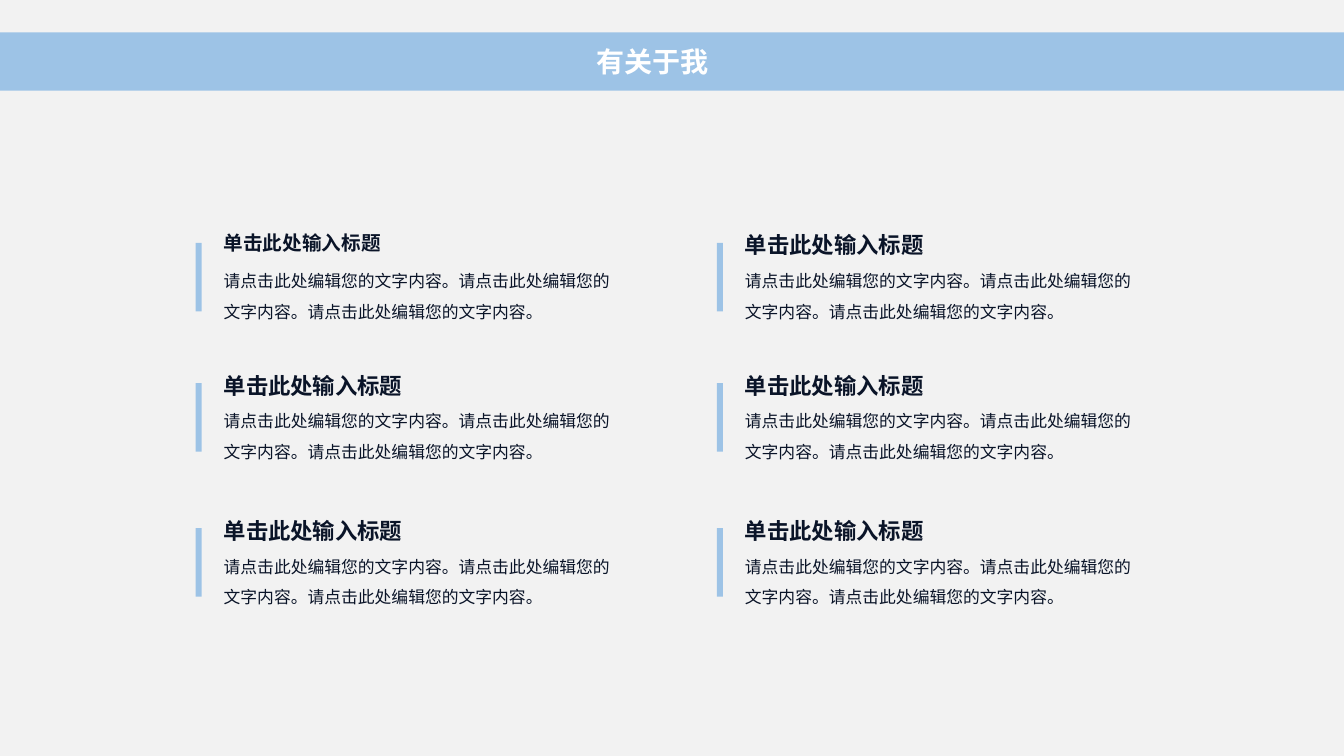
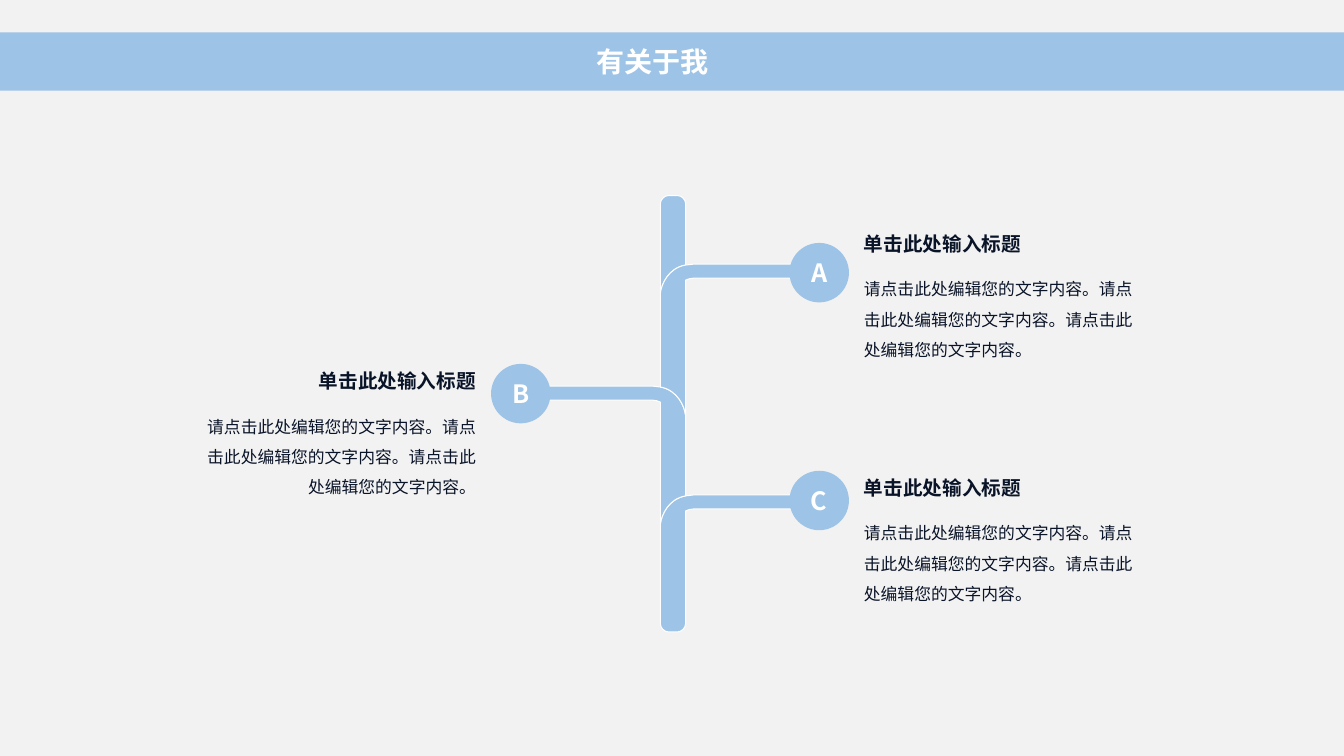
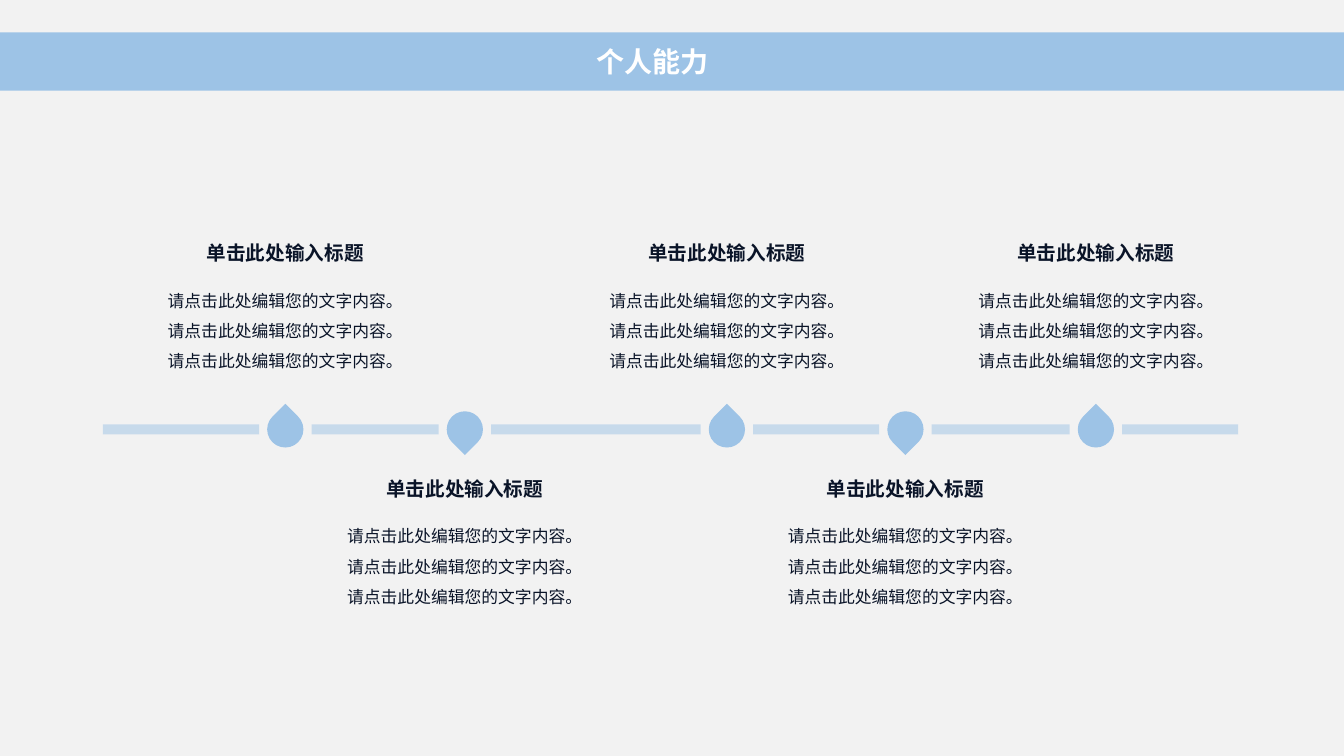
from itertools import pairwise

from lxml import etree
from pptx import Presentation
from pptx import util as u
from pptx.dml.color import RGBColor
from pptx.enum import shapes, text
from pptx.oxml.ns import qn

FONT = "Noto Sans CJK SC"
PAPER, BLUE, INK, WHITE = "F2F2F2", "9DC3E6", "0A1428", "FFFFFF"
WIDTH, HEIGHT = 13.33, 7.5
LEFT, CENTER, RIGHT = text.PP_ALIGN.LEFT, text.PP_ALIGN.CENTER, text.PP_ALIGN.RIGHT

HEADING = "单击此处输入标题"
SENTENCE = "请点击此处编辑您的文字内容。"
BODY = SENTENCE * 3

# Slide 1: column lefts, then bar top, heading top and heading sizes of each row
ABOUT_COLUMNS = (1.94, 7.11)
ABOUT_ROWS = (
    (2.41, 2.24, (14, 16)),
    (3.8, 3.64, (16, 16)),
    (5.24, 5.08, (16, 16)),
)

# Slide 2: letter, side (1 right, -1 left), tops of arm, circle and heading
BRANCHES = (
    ("A", 1, 2.62, 2.41, 2.25),
    ("B", -1, 3.83, 3.61, 3.61),
    ("C", 1, 4.91, 4.67, 4.67),
)
TRUNK_X, TRUNK_TOP, TRUNK_BOTTOM, TRUNK_HALF = 6.675, 1.94, 6.27, 0.125
CIRCLE = 0.59
CIRCLE_LEFT = {1: 7.83, -1: 4.87}
TEXT_EDGE = {1: 8.47, -1: 4.82}

# Slide 3: marker centres along the line, pointing up and down in turn
MARKERS = (2.83, 4.61, 7.21, 8.98, 10.87)
LINE_START, LINE_END, LINE_TOP, LINE_THICK = 1.02, 12.28, 4.21, 0.1
MARKER_SIZE, MARKER_TOP, MARKER_GAP = 0.36, 4.08, 0.26


def color(value):
    return RGBColor.from_string(value)


def paint(shape, outline=None):
    shape.shadow.inherit = False
    shape.fill.solid()
    shape.fill.fore_color.rgb = color(BLUE)
    if outline:
        shape.line.color.rgb = color(outline)
        shape.line.width = u.Pt(0.75)
    else:
        shape.line.fill.background()
    return shape


def add_solid(slide, kind, left, top, width, height):
    return paint(slide.shapes.add_shape(kind, *map(u.Inches, (left, top, width, height))))


def write(frame, words, size, ink=INK, bold=False, align=LEFT, spacing=None):
    paragraph = frame.paragraphs[0]
    paragraph.alignment = align
    if spacing:
        paragraph.line_spacing = spacing
    run = paragraph.add_run()
    run.text = words
    run.font.size = u.Pt(size)
    run.font.bold = bold
    run.font.name = FONT
    run.font.color.rgb = color(ink)
    etree.SubElement(run.font._element, qn("a:ea"), typeface=FONT)


def add_text(slide, words, left, top, width, height, size, **style):
    box = slide.shapes.add_textbox(*map(u.Inches, (left, top, width, height)))
    box.text_frame.word_wrap = True
    box.text_frame.auto_size = text.MSO_AUTO_SIZE.SHAPE_TO_FIT_TEXT
    write(box.text_frame, words, size, **style)


def add_heading(slide, left, top, width, size=14, align=LEFT):
    height = 0.34 if size == 14 else 0.37
    add_text(slide, HEADING, left, top, width, height, size, bold=True, align=align)


def add_body(slide, left, top, width, height=1.01, align=LEFT):
    add_text(slide, BODY, left, top, width, height, 12, align=align, spacing=1.5)


def new_slide(prs, title):
    slide = prs.slides.add_slide(prs.slide_layouts[6])
    add_solid(slide, shapes.MSO_SHAPE.RECTANGLE, -0.03, 0.32, 13.4, 0.58)
    add_text(slide, title, 5.82, 0.39, 1.69, 0.44, 20, ink=WHITE, bold=True,
             align=text.PP_ALIGN.JUSTIFY)
    return slide


def add_outline(slide, steps, side=1):
    """Draw steps, each one point (a line) or three (a cubic curve).

    x runs from the trunk's axis towards the given side.
    """
    points = [(u.Inches(TRUNK_X + side * x), u.Inches(y)) for step in steps for x, y in step]
    builder = slide.shapes.build_freeform(*points[0])
    builder.add_line_segments(points[1:], close=True)
    outline = builder.convert_to_shape()
    lines = iter(list(outline._element.iter(qn("a:lnTo"))))
    for step in steps[1:]:
        segment = next(lines)
        if len(step) == 3:
            segment.addprevious(curve := etree.Element(qn("a:cubicBezTo")))
            for corner in (segment, next(lines), next(lines)):
                curve.append(corner[0])
                corner.getparent().remove(corner)
    paint(outline, WHITE)


def shoulder(top, side=1):
    """The bend of an arm, from the trunk's near edge to its far edge."""
    bend = ((TRUNK_HALF, 0.01), (-0.045, 0.04), (-0.115, 0.2), (-TRUNK_HALF, 0.29))
    start, *curve = [(side * x, top + y) for x, y in bend]
    return [(start,), tuple(curve)]


def rounded_end(end, inward):
    """Trunk end from far edge to near edge; inward is 1 at the top, -1 at the bottom."""
    half, flat, near, far = TRUNK_HALF, 0.045, end + inward * 0.08, end + inward * 0.04
    return [((-half, near),), ((-half, far), (-0.085, end), (-flat, end)),
            ((flat, end),), ((0.085, end), (half, far), (half, near))]


def add_arm(slide, side, top, next_top):
    foot = shoulder(next_top, -1) if next_top else rounded_end(TRUNK_BOTTOM, -1)
    add_outline(slide, [
        ((1.45, top),), ((0.21, top),), *shoulder(top), *foot,
        ((TRUNK_HALF, top + 0.16),),
        ((0.145, top + 0.15), (0.175, top + 0.14), (0.205, top + 0.14)),
        ((1.45, top + 0.14),),
        ((1.49, top + 0.14), (1.52, top + 0.11), (1.52, top + 0.07)),
        ((1.52, top + 0.03), (1.49, top), (1.45, top)),
    ], side)


def about_grid(prs):
    slide = new_slide(prs, "有关于我")
    for bar_top, heading_top, sizes in ABOUT_ROWS:
        for left, size in zip(ABOUT_COLUMNS, sizes):
            add_solid(slide, shapes.MSO_SHAPE.RECTANGLE, left, bar_top, 0.06, 0.68)
            add_heading(slide, left + 0.18, heading_top, 2.19, size)
            add_body(slide, left + 0.18, bar_top + 0.13, 4.04, 0.67)


def about_tree(prs):
    slide = new_slide(prs, "有关于我")
    tops = [branch[2] for branch in BRANCHES]
    add_outline(slide, [*rounded_end(TRUNK_TOP, 1), *shoulder(tops[0])])
    for (_, side, top, *_), next_top in reversed(list(zip(BRANCHES, [*tops[1:], None]))):
        add_arm(slide, side, top, next_top)
    for letter, side, _, circle_top, heading_top in BRANCHES:
        circle = add_solid(slide, shapes.MSO_SHAPE.OVAL, CIRCLE_LEFT[side], circle_top,
                           CIRCLE, CIRCLE)
        circle.text_frame.vertical_anchor = text.MSO_ANCHOR.MIDDLE
        write(circle.text_frame, letter, 18, ink=WHITE, bold=True, align=CENTER)
        align = LEFT if side == 1 else RIGHT
        for add, top, width in ((add_heading, heading_top, 2.23),
                                (add_body, heading_top + 0.37, 3.01)):
            left = TEXT_EDGE[side] - (width if side == -1 else 0)
            add(slide, left, top, width, align=align)


def ability_timeline(prs):
    slide = new_slide(prs, "个人能力")
    ends = [LINE_START - MARKER_GAP, *MARKERS, LINE_END + MARKER_GAP]
    for before, after in pairwise(ends):
        left, right = before + MARKER_GAP, after - MARKER_GAP
        segment = add_solid(slide, shapes.MSO_SHAPE.RECTANGLE, left, LINE_TOP,
                            right - left, LINE_THICK)
        tint = segment.fill._xPr.find(".//" + qn("a:srgbClr"))
        etree.SubElement(tint, qn("a:alpha"), val="50000")
    for index, center in enumerate(MARKERS):
        points_up = index % 2 == 0
        drop = add_solid(slide, shapes.MSO_SHAPE.TEAR, center - MARKER_SIZE / 2,
                         MARKER_TOP, MARKER_SIZE, MARKER_SIZE)
        drop.rotation = 315 if points_up else 135
        top = 2.34 if points_up else 4.68
        add_heading(slide, center - 2.07 / 2, top, 2.07, align=CENTER)
        add_body(slide, center - 2.6 / 2, top + 0.39, 2.6, align=CENTER)


def main():
    prs = Presentation()
    prs.slide_width, prs.slide_height = u.Inches(WIDTH), u.Inches(HEIGHT)
    backdrop = prs.slide_master.background.fill
    backdrop.solid()
    backdrop.fore_color.rgb = color(PAPER)
    about_grid(prs)
    about_tree(prs)
    ability_timeline(prs)
    prs.save("out.pptx")


if __name__ == "__main__":
    main()
